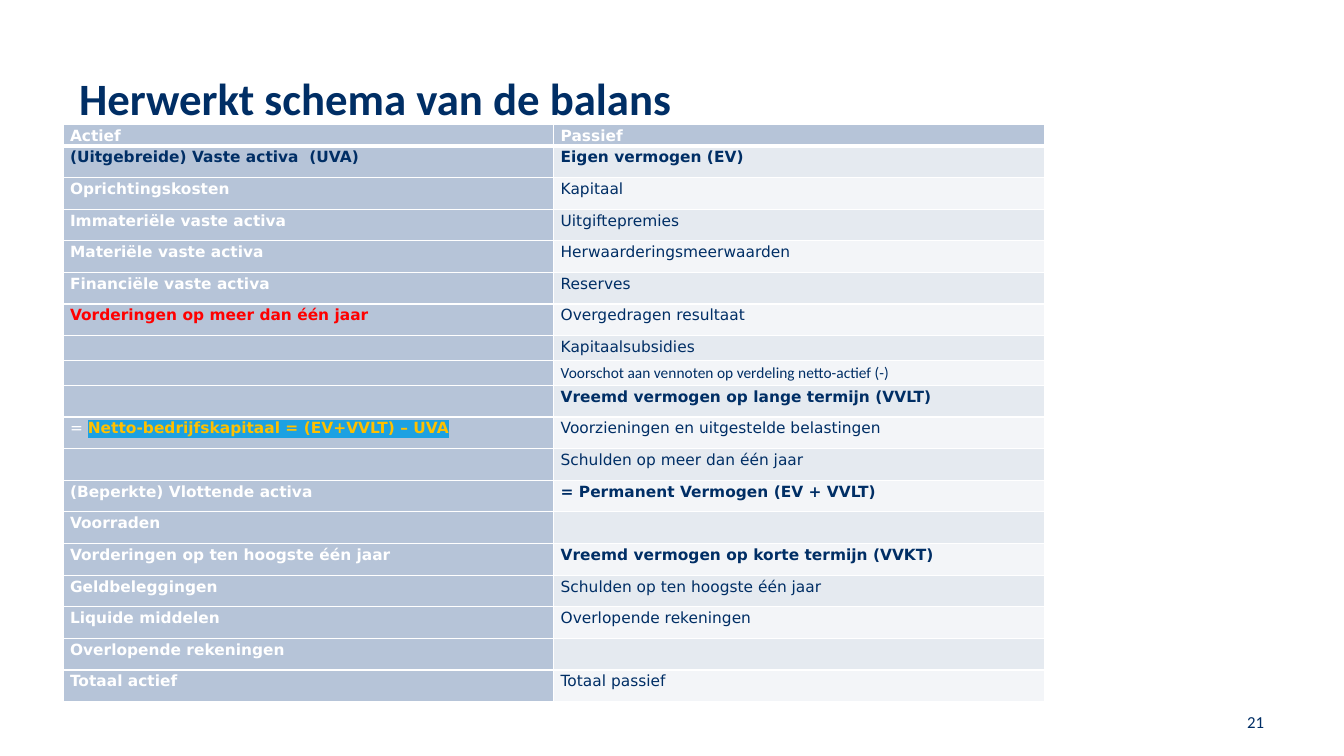
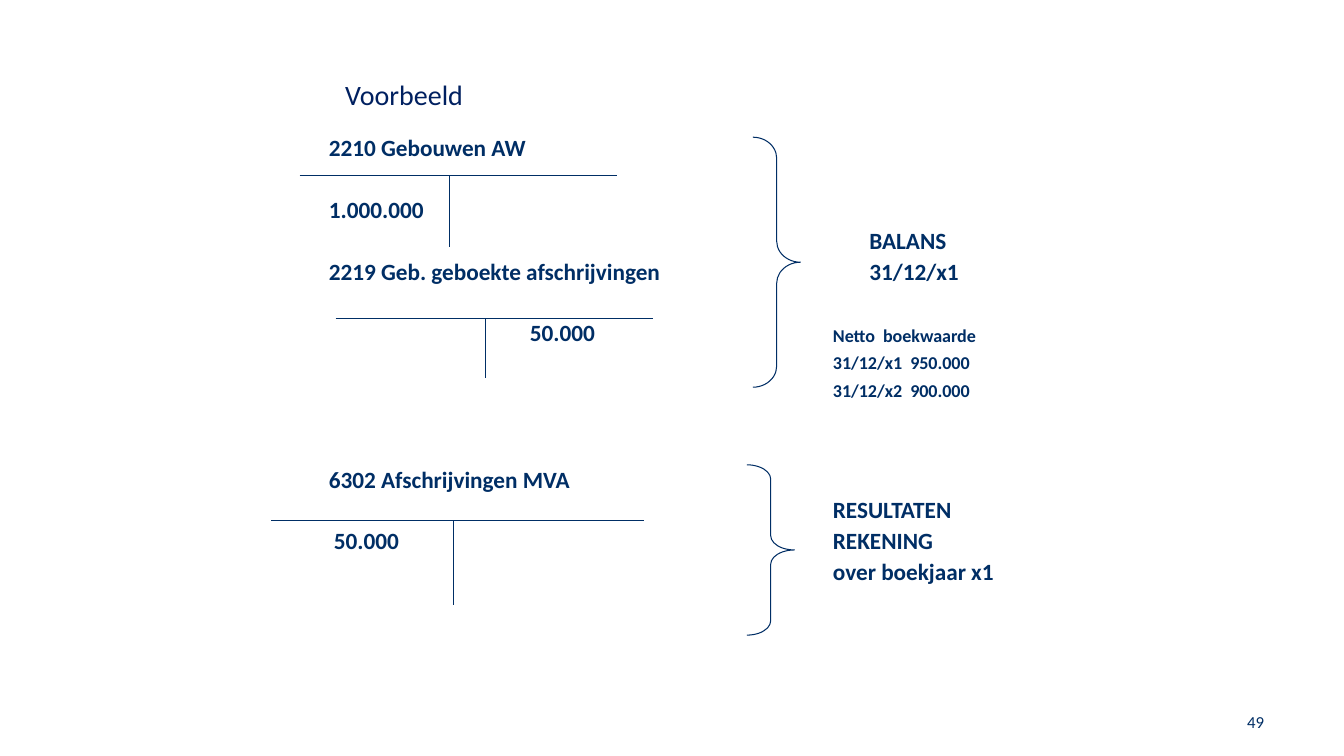
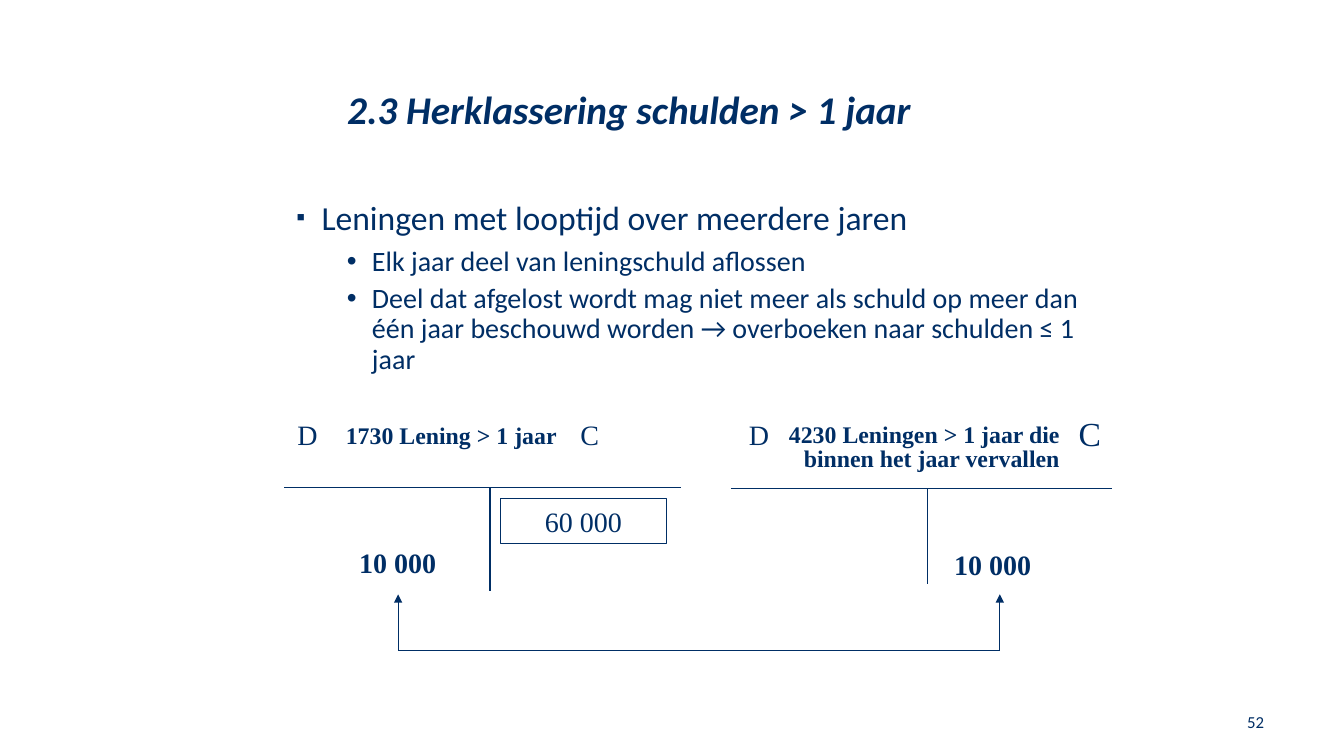
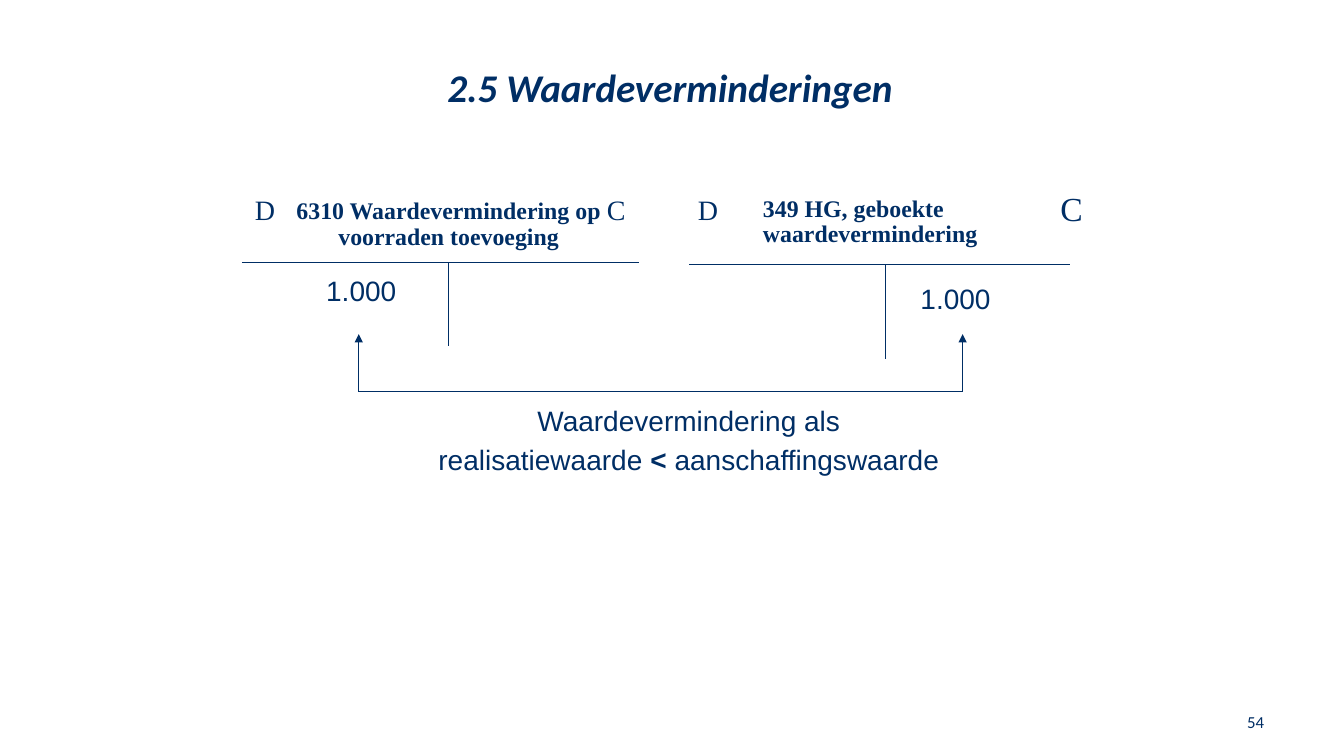
from lxml.etree import SubElement
from pptx import Presentation
from pptx.dml.color import RGBColor
from pptx.enum.shapes import MSO_CONNECTOR, MSO_SHAPE
from pptx.enum.text import MSO_ANCHOR, MSO_AUTO_SIZE, PP_ALIGN
from pptx.oxml.ns import qn
from pptx.util import Pt

COLORS = {
    "navy": "002E65",
    "deep": "002060",
    "white": "FFFFFF",
    "red": "FF0000",
    "gold": "FFC000",
    "highlight": "1CA1E2",
    "steel": "B6C4D8",
    "band_dark": "E5EAF0",
    "band_light": "F3F5F8",
}
COLORS = {name: RGBColor.from_string(value) for name, value in COLORS.items()}
SERIF = "Times New Roman"
TABLE_FONT = "DejaVu Sans"
LEFT, CENTER, RIGHT = PP_ALIGN.LEFT, PP_ALIGN.CENTER, PP_ALIGN.RIGHT


def add_label(page, text, left, middle, width, size, font="Calibri", bold=False, align=LEFT, pitch=None):
    height = (pitch or size * 1.25) * (text.count("\n") + 1)
    box = page.shapes.add_textbox(Pt(left), Pt(middle - height / 2), Pt(width), Pt(height))
    frame = box.text_frame
    frame.margin_left = frame.margin_right = frame.margin_top = frame.margin_bottom = 0
    frame.word_wrap = True
    frame.vertical_anchor = MSO_ANCHOR.MIDDLE
    frame.text = text
    for para in frame.paragraphs:
        para.alignment = align
        if pitch:
            para.line_spacing = Pt(pitch)
        for span in para.runs:
            span.font.name = font
            span.font.size = Pt(size)
            span.font.bold = bold
            span.font.color.rgb = COLORS["navy"]
    return box


def add_line(page, start, end, arrow=False):
    line = page.shapes.add_connector(MSO_CONNECTOR.STRAIGHT, Pt(start[0]), Pt(start[1]), Pt(end[0]), Pt(end[1]))
    line.line.color.rgb = COLORS["navy"]
    line.line.width = Pt(0.75)
    if arrow:
        SubElement(line.line._get_or_add_ln(), qn("a:tailEnd"), type="triangle")
    SubElement(line._element.spPr, qn("a:effectLst"))


deck = Presentation()
deck.slide_width, deck.slide_height = Pt(960), Pt(540)

TITLE_ONLY, TITLE_AND_BODY = deck.slide_layouts[5], deck.slide_layouts[1]
headings = [
    (TITLE_ONLY, "Herwerkt schema van de balans", 56.5, 70, 32, True, False, "navy", "21"),
    (TITLE_ONLY, "Voorbeeld", 246.5, 67.5, 20, False, False, "deep", "49"),
    (TITLE_AND_BODY, "2.3 Herklassering schulden > 1 jaar", 248, 77.5, 28, True, True, "navy", "52"),
    (TITLE_ONLY, "2.5 Waardeverminderingen", 319.5, 62, 28, True, True, "navy", "54"),
]
pages = []
for layout, text, left, middle, size, bold, italic, color, number in headings:
    page = deck.slides.add_slide(layout)
    title = page.shapes.title
    title.left, title.top, title.width, title.height = Pt(left), Pt(middle - 20), Pt(600), Pt(40)
    frame = title.text_frame
    frame.text = text
    frame.auto_size = MSO_AUTO_SIZE.NONE
    frame.vertical_anchor = MSO_ANCHOR.MIDDLE
    frame.margin_left = frame.margin_right = frame.margin_top = frame.margin_bottom = 0
    frame.paragraphs[0].alignment = LEFT
    font = frame.paragraphs[0].runs[0].font
    font.name, font.size, font.bold, font.italic = "Calibri", Pt(size), bold, italic
    font.color.rgb = COLORS[color]
    add_label(page, number, 803, 515.5, 100, 12, align=RIGHT)
    pages.append(page)
balance_page, example_page, debt_page, impairment_page = pages

balance_rows = [
    ("Actief", "Passief"),
    ("(Uitgebreide) Vaste activa  (UVA)", "Eigen vermogen (EV)"),
    ("Oprichtingskosten", "Kapitaal"),
    ("Immateriële vaste activa", "Uitgiftepremies"),
    ("Materiële vaste activa", "Herwaarderingsmeerwaarden"),
    ("Financiële vaste activa", "Reserves"),
    ("Vorderingen op meer dan één jaar", "Overgedragen resultaat"),
    ("", "Kapitaalsubsidies"),
    ("", "Voorschot aan vennoten op verdeling netto-actief (-)"),
    ("", "Vreemd vermogen op lange termijn (VVLT)"),
    ("= ", "Voorzieningen en uitgestelde belastingen"),
    ("", "Schulden op meer dan één jaar"),
    ("(Beperkte) Vlottende activa", "= Permanent Vermogen (EV + VVLT)"),
    ("Voorraden", ""),
    ("Vorderingen op ten hoogste één jaar", "Vreemd vermogen op korte termijn (VVKT)"),
    ("Geldbeleggingen", "Schulden op ten hoogste één jaar"),
    ("Liquide middelen", "Overlopende rekeningen"),
    ("Overlopende rekeningen", ""),
    ("Totaal actief", "Totaal passief"),
]
row_heights = {0: 15, 7: 18, 8: 17.5}
bold_right_rows = {0, 1, 9, 12, 14}
left_colors = {1: "navy", 6: "red"}
capital_row, advance_row = 10, 8

table = balance_page.shapes.add_table(len(balance_rows), 2, Pt(45), Pt(89), Pt(701), Pt(412)).table
for column in table.columns:
    column.width = Pt(350.5)
for row_index, texts in enumerate(balance_rows):
    table.rows[row_index].height = Pt(row_heights.get(row_index, 22.6))
    for column_index, text in enumerate(texts):
        cell = table.cell(row_index, column_index)
        cell.margin_left = cell.margin_right = Pt(5)
        cell.margin_top = cell.margin_bottom = 0
        for side in ("L", "R", "T", "B"):
            thick = (row_index, side) in ((0, "B"), (1, "T"))
            border = SubElement(cell._tc.get_or_add_tcPr(), qn(f"a:ln{side}"), w=str(Pt(3 if thick else 1)))
            SubElement(SubElement(border, qn("a:solidFill")), qn("a:srgbClr"), val=str(COLORS["white"]))
        if column_index == 0 or row_index == 0:
            fill, color = "steel", left_colors.get(row_index, "white")
        else:
            fill, color = ("band_dark" if row_index % 2 else "band_light"), "navy"
        cell.fill.solid()
        cell.fill.fore_color.rgb = COLORS[fill]
        para = cell.text_frame.paragraphs[0]
        para.line_spacing = 1.15
        if not text:
            para._p.get_or_add_endParaRPr().set("sz", "1100")
            continue
        para.text = text
        if column_index == 0 and row_index == capital_row:
            para.add_run().text = "Netto-bedrijfskapitaal = (EV+VVLT) – UVA"
        for span in para.runs:
            span.font.name = TABLE_FONT
            span.font.size = Pt(11)
            span.font.bold = column_index == 0 or row_index in bold_right_rows
            span.font.color.rgb = COLORS[color]

table.cell(advance_row, 1).text_frame.paragraphs[0].runs[0].font.name = "Calibri"
equals, capital = table.cell(capital_row, 0).text_frame.paragraphs[0].runs
equals.font.bold = False
capital.font.color.rgb = COLORS["gold"]
properties = capital._r.get_or_add_rPr()
highlight = SubElement(properties, qn("a:highlight"))
SubElement(highlight, qn("a:srgbClr"), val=str(COLORS["highlight"]))
properties.find(qn("a:solidFill")).addnext(highlight)

accounts = [
    (example_page, 214, 440.5, 125.3, 321, 176.4),
    (example_page, 239.8, 466.5, 227.5, 347, 270),
    (example_page, 193.7, 460, 371.5, 324, 432),
    (debt_page, 203, 486.7, 348.5, 350, 422),
    (debt_page, 522, 794, 349.2, 662.4, 417),
    (impairment_page, 172.8, 456.5, 187.6, 320.4, 247),
    (impairment_page, 492.5, 764, 188.6, 632.2, 256.3),
]
for page, left, right, top, stem, bottom in accounts:
    add_line(page, (left, top), (right, top))
    add_line(page, (stem, top), (stem, bottom))

for page, left, right, top, bottom in [(debt_page, 284.4, 714.2, 424.5, 464.4), (impairment_page, 256.3, 687.6, 238.7, 280)]:
    add_line(page, (left, bottom), (right, bottom))
    for tip in (left, right):
        add_line(page, (tip, bottom), (tip, top), arrow=True)

for text, left, middle, size, pitch in [
    ("2210 Gebouwen AW", 235, 105.5, 16.6, None),
    ("1.000.000", 235, 149.5, 16.6, None),
    ("2219 Geb. geboekte afschrijvingen", 235, 193.5, 16.6, None),
    ("50.000", 378.5, 237.5, 16.6, None),
    ("BALANS\n31/12/x1", 621, 181.5, 16.6, 22),
    ("Netto  boekwaarde\n31/12/x1  950.000\n31/12/x2  900.000", 595, 257, 12.9, 19.6),
    ("6302 Afschrijvingen MVA", 235, 342, 16.6, None),
    ("50.000", 238.5, 386, 16.6, None),
    ("RESULTATEN\nREKENING\nover boekjaar x1", 595, 385, 16.6, 22),
]:
    add_label(example_page, text, left, middle, 260, size, bold=True, pitch=pitch)

for left, top, height, curve in [(537.8, 98, 178.6, 0.443), (533.5, 332, 121.7, 0.302)]:
    brace = example_page.shapes.add_shape(MSO_SHAPE.RIGHT_BRACE, Pt(left), Pt(top), Pt(34), Pt(height))
    brace.adjustments[0] = curve
    brace.shadow.inherit = False
    brace.fill.background()
    brace.line.color.rgb = COLORS["navy"]
    brace.line.width = Pt(0.75)

body = debt_page.placeholders[1]
body.left, body.top, body.width, body.height = Pt(168.5), Pt(140), Pt(640), Pt(140)
frame = body.text_frame
frame.auto_size = MSO_AUTO_SIZE.NONE
frame.vertical_anchor = MSO_ANCHOR.TOP
frame.text = (
    "Leningen met looptijd over meerdere jaren\n"
    "Elk jaar deel van leningschuld aflossen\n"
    "Deel dat afgelost wordt mag niet meer als schuld op meer dan één jaar "
    "beschouwd worden → overboeken naar schulden ≤ 1 jaar"
)
bullet_styles = [(0, 54, 24, 0, "▪", "75000"), (1, 90, 20, 7, "•", "100000"), (1, 90, 20, 5, "•", "100000")]
for para, (level, indent, size, gap, symbol, scale) in zip(frame.paragraphs, bullet_styles):
    para.level = level
    para.line_spacing = 0.9
    para.space_before = Pt(gap)
    properties = para._p.get_or_add_pPr()
    properties.set("marL", str(Pt(indent)))
    properties.set("indent", str(Pt(-18)))
    SubElement(SubElement(properties, qn("a:buClr")), qn("a:srgbClr"), val=str(COLORS["navy"]))
    SubElement(properties, qn("a:buSzPct"), val=scale)
    SubElement(properties, qn("a:buFont"), typeface="Arial")
    SubElement(properties, qn("a:buChar"), char=symbol)
    font = para.runs[0].font
    font.name, font.size = "Calibri", Pt(size)
    font.color.rgb = COLORS["navy"]

for page, text, left, middle, width, size, bold, align, pitch in [
    (debt_page, "D", 212.5, 310.5, 20, 20, False, LEFT, None),
    (debt_page, "1730 Lening > 1 jaar", 247, 311, 165, 17, True, LEFT, None),
    (debt_page, "C", 414.5, 310.5, 20, 20, False, LEFT, None),
    (debt_page, "D", 535, 310.5, 20, 20, False, LEFT, None),
    (debt_page, "4230 Leningen > 1 jaar die\nbinnen het jaar vervallen", 557, 320, 200, 17, True, RIGHT, 17.3),
    (debt_page, "C", 770.5, 309.5, 24, 24, False, LEFT, None),
    (debt_page, "10 000", 256.5, 401.5, 80, 20, True, LEFT, None),
    (debt_page, "10 000", 681.5, 403, 80, 20, True, LEFT, None),
    (impairment_page, "D", 182, 149.5, 20, 20, False, LEFT, None),
    (impairment_page, "6310 Waardevermindering op\nvoorraden toevoeging", 205.5, 160, 230, 17, True, CENTER, 18.6),
    (impairment_page, "C", 433.5, 149.5, 20, 20, False, LEFT, None),
    (impairment_page, "D", 498.5, 149.5, 20, 20, False, LEFT, None),
    (impairment_page, "349 HG, geboekte\nwaardevermindering", 545, 159, 200, 17, True, LEFT, 17.3),
    (impairment_page, "C", 757.5, 148.5, 24, 24, False, LEFT, None),
]:
    add_label(page, text, left, middle, width, size, SERIF, bold, align, pitch)

amount = debt_page.shapes.add_shape(MSO_SHAPE.RECTANGLE, Pt(357.5), Pt(356), Pt(118.5), Pt(32))
amount.shadow.inherit = False
amount.fill.background()
amount.line.color.rgb = COLORS["navy"]
amount.line.width = Pt(0.75)
amount.text_frame.text = "60 000"
amount.text_frame.paragraphs[0].alignment = CENTER
font = amount.text_frame.paragraphs[0].runs[0].font
font.name, font.size = SERIF, Pt(20)
font.color.rgb = COLORS["navy"]

for left, middle in [(233, 207.5), (657.5, 213)]:
    add_label(impairment_page, "1.000", left, middle, 80, 20, "Arial")
rule = add_label(
    impairment_page, "Waardevermindering als\nrealisatiewaarde ", 242, 312, 500, 20, "Arial", align=CENTER, pitch=28
)
for text, bold in [("<", True), (" aanschaffingswaarde", False)]:
    span = rule.text_frame.paragraphs[1].add_run()
    span.text = text
    span.font.name, span.font.size, span.font.bold = "Arial", Pt(20), bold
    span.font.color.rgb = COLORS["navy"]

deck.save("out.pptx")
